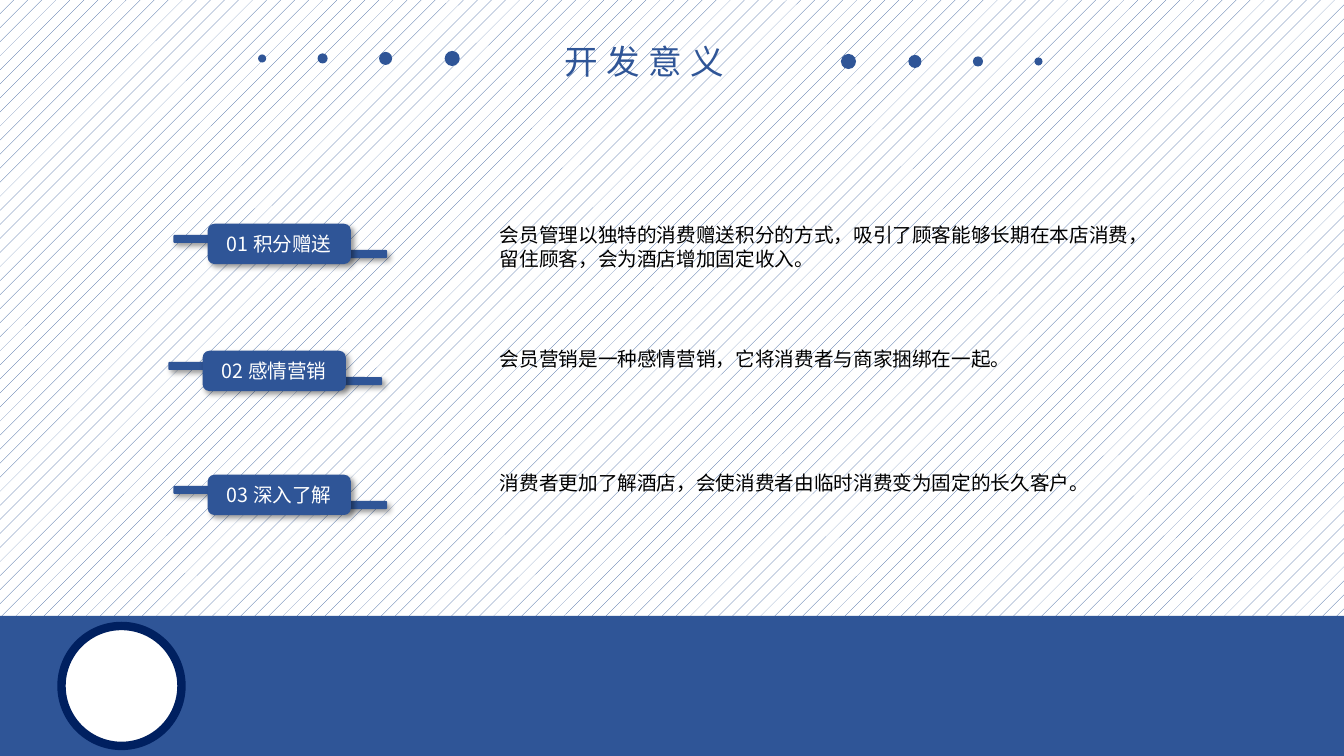
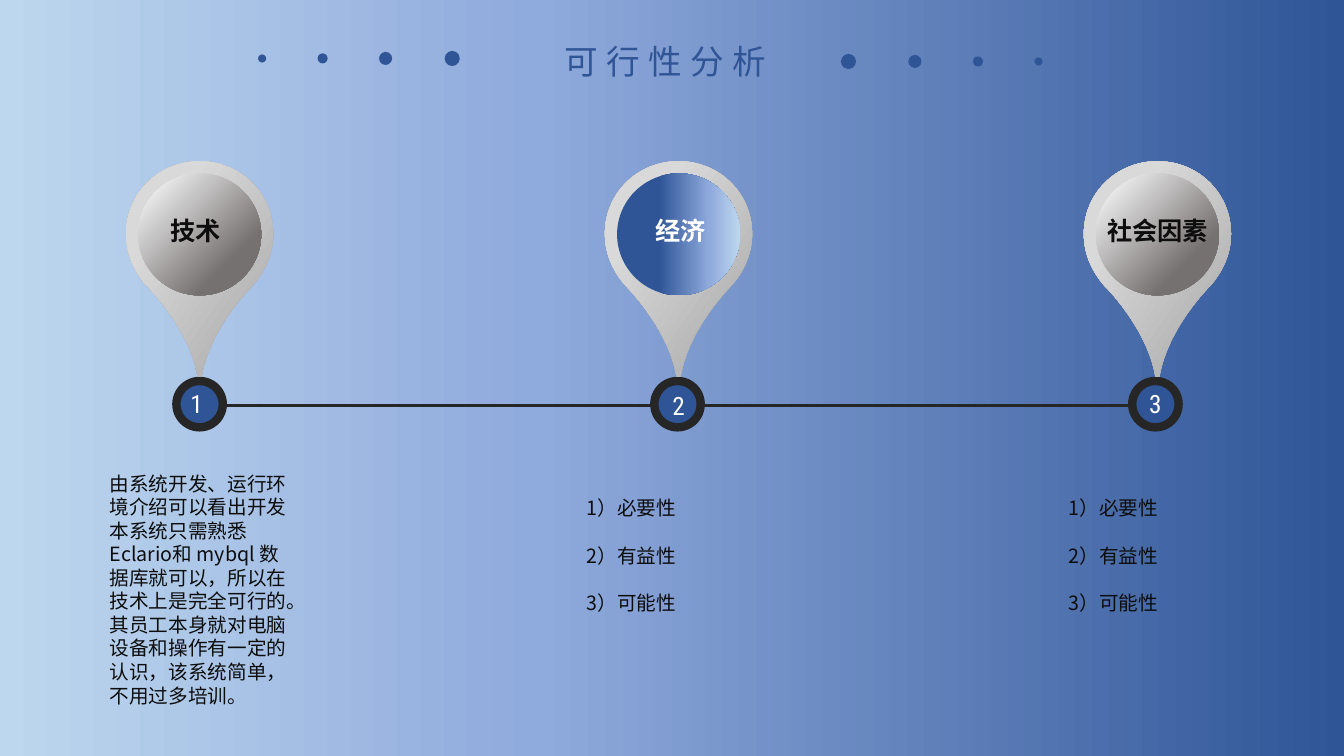
from dataclasses import dataclass
from typing import Any, Optional, Sequence

from lxml.etree import SubElement
from pptx import Presentation
from pptx.dml.color import RGBColor
from pptx.enum.dml import MSO_PATTERN
from pptx.enum.shapes import MSO_CONNECTOR, MSO_SHAPE as SHAPE
from pptx.enum.text import MSO_ANCHOR as ANCHOR, MSO_AUTO_SIZE as AUTO_SIZE, PP_ALIGN as ALIGN
from pptx.oxml.ns import qn
from pptx.util import Inches, Pt

BLUE = RGBColor(0x2F, 0x55, 0x97)
MID_BLUE = RGBColor(0x8F, 0xAA, 0xDC)
PALE_BLUE = RGBColor(0xBD, 0xD7, 0xEE)
NAVY = RGBColor(0x00, 0x20, 0x60)
WHITE = RGBColor(0xFF, 0xFF, 0xFF)
BLACK = RGBColor(0x00, 0x00, 0x00)
INK = RGBColor(0x0D, 0x0D, 0x0D)
CHARCOAL = RGBColor(0x26, 0x26, 0x26)
DARK_GREY = RGBColor(0x76, 0x71, 0x71)
GREY = RGBColor(0xA6, 0xA6, 0xA6)
LIGHT_GREY = RGBColor(0xD9, 0xD9, 0xD9)
PALE_GREY = RGBColor(0xF2, 0xF2, 0xF2)

CJK = "Noto Sans CJK SC"
Stops = Sequence[tuple[int, RGBColor]]
Point = tuple[float, float]


@dataclass(frozen=True)
class TextStyle:
    size: int
    latin: str
    color: RGBColor
    east_asian: str = CJK
    bold: bool = False
    spacing: int = 0
    leading: float = 1.2


@dataclass(frozen=True)
class Reason:
    label: str
    left: float
    top: float
    description: Sequence[str]
    description_top: float


@dataclass(frozen=True)
class Gradient:
    stops: Stops
    angle: Optional[int]  # None means radial, from the lower right corner


@dataclass(frozen=True)
class Milestone:
    label: str
    label_center: float
    label_color: RGBColor
    disc: Gradient
    number_left: float
    number_top: float


TITLE = TextStyle(24, "Noto Sans CJK JP", BLUE, "Noto Sans CJK JP", spacing=600)
BADGE = TextStyle(14, CJK, WHITE)
DESCRIPTION = TextStyle(14, "Calibri", BLACK, leading=1.22)
DETAIL = TextStyle(14, CJK, INK)
NUMBER = TextStyle(18, "Roboto Condensed", WHITE)

BACKDROP = Gradient([(0, BLUE), (60, MID_BLUE), (100, PALE_BLUE)], 180)
PIN_FILL = Gradient([(0, GREY), (75, LIGHT_GREY)], 215)
GREY_DISC = Gradient([(26, DARK_GREY), (91, PALE_GREY)], None)
BLUE_DISC = Gradient([(34, BLUE), (75, MID_BLUE), (100, PALE_BLUE)], 0)

# Left half of the pin, from the top of the head to the tip: a start, then cubic curves
PIN_CENTER = 0.73
PIN_HALF: list[Point] = [
    (0.73, 0),
    (0.32, 0), (0, 0.32), (0, 0.72),
    (0, 0.92), (0.08, 1.09), (0.2, 1.23),
    (0.2, 1.23), (0.63, 1.65), (0.71, 2.14),
]

REASONS = [
    Reason("01 积分赠送", 2.06, 2.22,
           ["会员管理以独特的消费赠送积分的方式，吸引了顾客能够长期在本店消费，",
            "留住顾客，会为酒店增加固定收入。"], 2.16),
    Reason("02 感情营销", 2.01, 3.48,
           ["会员营销是一种感情营销，它将消费者与商家捆绑在一起。"], 3.39),
    Reason("03 深入了解", 2.06, 4.71,
           ["消费者更加了解酒店，会使消费者由临时消费变为固定的长久客户。"], 4.62),
]
MILESTONES = [
    Milestone("技术", 1.94, INK, GREY_DISC, 1.79, 3.8),
    Milestone("经济", 6.75, WHITE, BLUE_DISC, 6.57, 3.82),
    Milestone("社会因素", 11.48, INK, GREY_DISC, 11.3, 3.8),
]
TECHNOLOGY = ("由系统开发、运行环境介绍可以看出开发本系统只需熟悉Eclario和 mybql 数据库就可以，"
              "所以在技术上是完全可行的。其员工本身就对电脑设备和操作有一定的认识，"
              "该系统简单，不用过多培训。")
BENEFITS = ["1）必要性", "2）有益性", "3）可能性"]


def apply(target: Any, values: dict[str, Any]) -> None:
    for name, value in values.items():
        setattr(target, name, value)


def box(left: float, top: float, width: float, height: float) -> dict[str, int]:
    return {"left": Inches(left), "top": Inches(top),
            "width": Inches(width), "height": Inches(height)}


def write(frame: Any, lines: Sequence[str], style: TextStyle, align: Any = ALIGN.LEFT,
          anchor: Any = ANCHOR.TOP, wrap: bool = True, gap: float = 0) -> None:
    apply(frame, {"word_wrap": wrap, "auto_size": AUTO_SIZE.NONE, "vertical_anchor": anchor})
    for index, line in enumerate(lines):
        paragraph = frame.paragraphs[0] if index == 0 else frame.add_paragraph()
        apply(paragraph, {"alignment": align, "space_before": Pt(0), "space_after": Pt(gap),
                          "line_spacing": Pt(style.size * style.leading)})
        run = paragraph.add_run()
        run.text = line
        apply(run.font, {"size": Pt(style.size), "name": style.latin, "bold": style.bold})
        run.font.color.rgb = style.color
        properties = run._r.get_or_add_rPr()
        SubElement(properties, qn("a:ea")).set("typeface", style.east_asian)
        if style.spacing:
            properties.set("spc", str(style.spacing))


def add_text(slide: Any, area: dict[str, int], lines: Sequence[str],
             style: TextStyle, **layout: Any) -> None:
    write(slide.shapes.add_textbox(**area).text_frame, lines, style, **layout)


def add_plain(slide: Any, kind: Any, area: dict[str, int], color: RGBColor = BLUE,
              border: Optional[tuple[RGBColor, float]] = None) -> Any:
    shape = slide.shapes.add_shape(kind, **area)
    shape.shadow.inherit = False
    shape.fill.solid()
    shape.fill.fore_color.rgb = color
    if border:
        shape.line.color.rgb, shape.line.width = border[0], Pt(border[1])
    else:
        shape.line.fill.background()
    return shape


def paint_gradient(fill: Any, element: Any, gradient: Gradient) -> None:
    fill.gradient()
    grad = next(element.iter(qn("a:gradFill")))
    for child in list(grad):
        grad.remove(child)
    stop_list = SubElement(grad, qn("a:gsLst"))
    for position, color in gradient.stops:
        stop = SubElement(stop_list, qn("a:gs"), pos=str(position * 1000))
        SubElement(stop, qn("a:srgbClr"), val=str(color))
    if gradient.angle is None:
        radial = SubElement(grad, qn("a:path"), path="circle")
        SubElement(radial, qn("a:fillToRect"), l="100000", t="100000")
    else:
        SubElement(grad, qn("a:lin"), ang=str(gradient.angle * 60000), scaled="0")


def cast_shadow(shape: Any) -> None:
    effects = shape._element.spPr.find(qn("a:effectLst"))
    shadow = SubElement(effects, qn("a:outerShdw"), blurRad=str(Pt(4)), dist=str(Pt(3)),
                        dir=str(45 * 60000), algn="tl", rotWithShape="0")
    color = SubElement(shadow, qn("a:srgbClr"), val=str(BLACK))
    SubElement(color, qn("a:alpha"), val="40000")


def add_header(slide: Any, title: str) -> None:
    """Title between two mirrored rows of dots."""
    apply(slide.shapes.title, box(5.5, 0.36, 2.6, 0.5))
    write(slide.shapes.title.text_frame, [title], TITLE)
    for left, size in [(2.56, 0.08), (3.15, 0.1), (3.76, 0.13), (4.41, 0.15)]:
        for dot_left, middle in [(left, 0.58), (12.9 - left - size, 0.61)]:
            add_plain(slide, SHAPE.OVAL, box(dot_left, middle - size / 2, size, size))


def add_reason(slide: Any, reason: Reason) -> None:
    """Badge with a bar on each side, and its description."""
    parts = [(0.91, 0.26, 0.87, 0.08), (-0.34, 0.11, 0.87, 0.08), (0, 0, 1.42, 0.4)]
    for dx, dy, width, height in parts:
        badge = add_plain(slide, SHAPE.ROUNDED_RECTANGLE,
                          box(reason.left + dx, reason.top + dy, width, height))
        cast_shadow(badge)
    write(badge.text_frame, [reason.label], BADGE, align=ALIGN.CENTER,
          anchor=ANCHOR.MIDDLE, wrap=False)
    add_text(slide, box(4.86, reason.description_top, 6.9, 0.57), reason.description, DESCRIPTION)


def add_pin(slide: Any, left: float, top: float) -> Any:
    """Symmetric pin whose points are joined three by three into cubic curves."""
    mirrored = [(2 * PIN_CENTER - x, y) for x, y in reversed(PIN_HALF)]
    points = PIN_HALF + [PIN_HALF[-1], mirrored[0]] + mirrored
    outline = [(Inches(left + x), Inches(top + y)) for x, y in points]
    builder = slide.shapes.build_freeform(*outline[0], scale=1.0)
    builder.add_line_segments(outline[1:], close=True)
    pin = builder.convert_to_shape()
    segments = list(pin._element.iter(qn("a:lnTo")))
    for first in range(0, len(segments) - 2, 3):
        curve = SubElement(segments[first].getparent(), qn("a:cubicBezTo"))
        segments[first].addprevious(curve)
        for segment in segments[first:first + 3]:
            curve.append(segment[0])
            segment.getparent().remove(segment)
    pin.shadow.inherit = False
    pin.line.fill.background()
    return pin


def add_milestone(slide: Any, index: int, milestone: Milestone) -> None:
    # Numbered node on the line
    add_plain(slide, SHAPE.OVAL, box(1.75 + 4.74 * index, 3.78, 0.46, 0.46),
              border=(CHARCOAL, 6))
    add_text(slide, box(milestone.number_left, milestone.number_top, 0.34, 0.4),
             [str(index + 1)], NUMBER)
    # Pin with its disc and label
    left, top = 1.25 + 4.75 * index, 1.6
    pin = add_pin(slide, left, top)
    disc = add_plain(slide, SHAPE.OVAL, box(left + 0.12, top + 0.12, 1.22, 1.21))
    for shape, gradient in [(pin, PIN_FILL), (disc, milestone.disc)]:
        paint_gradient(shape.fill, shape._element.spPr, gradient)
    label = TextStyle(18, "Roboto Condensed", milestone.label_color, bold=True)
    add_text(slide, box(milestone.label_center - 0.65, 2.09, 1.3, 0.4), [milestone.label],
             label, align=ALIGN.CENTER, anchor=ANCHOR.MIDDLE)


def build_significance(deck: Any) -> None:
    slide = deck.slides.add_slide(deck.slide_layouts[5])
    backdrop = slide.background.fill
    backdrop.patterned()
    backdrop.pattern = MSO_PATTERN.PERCENT_5
    backdrop.fore_color.rgb, backdrop.back_color.rgb = BLUE, WHITE
    add_header(slide, "开发意义")
    # Bottom band with a ring
    add_plain(slide, SHAPE.RECTANGLE, box(0, 6.11, 13.33, 1.39))
    add_plain(slide, SHAPE.OVAL, box(0.61, 6.21, 1.19, 1.19), WHITE, (NAVY, 6))
    for reason in REASONS:
        add_reason(slide, reason)


def build_feasibility(deck: Any) -> None:
    slide = deck.slides.add_slide(deck.slide_layouts[3])
    paint_gradient(slide.background.fill, slide._element, BACKDROP)
    add_header(slide, "可行性分析")
    # Timeline
    timeline = slide.shapes.add_connector(MSO_CONNECTOR.STRAIGHT, Inches(1.98), Inches(4.02),
                                          Inches(11.46), Inches(4.02))
    timeline.line.color.rgb, timeline.line.width = CHARCOAL, Pt(2.25)
    SubElement(timeline._element.spPr, qn("a:effectLst"))
    for index, milestone in enumerate(MILESTONES):
        add_milestone(slide, index, milestone)
    # Details under each milestone
    add_text(slide, box(0.99, 4.63, 2, 2.46), [TECHNOLOGY], DETAIL)
    for idx, left in [(1, 5.72), (2, 10.5)]:
        benefits = slide.placeholders[idx]
        apply(benefits, box(left, 4.87, 2, 1.3))
        write(benefits.text_frame, BENEFITS, DETAIL, gap=17.1)
        for paragraph in benefits.text_frame.paragraphs:
            properties = paragraph._p.get_or_add_pPr()
            properties.set("marL", "0")
            properties.set("indent", "0")
            SubElement(properties, qn("a:buNone"))


def main() -> None:
    deck = Presentation()
    apply(deck, {"slide_width": Inches(13.33), "slide_height": Inches(7.5)})
    build_significance(deck)
    build_feasibility(deck)
    deck.save("out.pptx")


if __name__ == "__main__":
    main()
